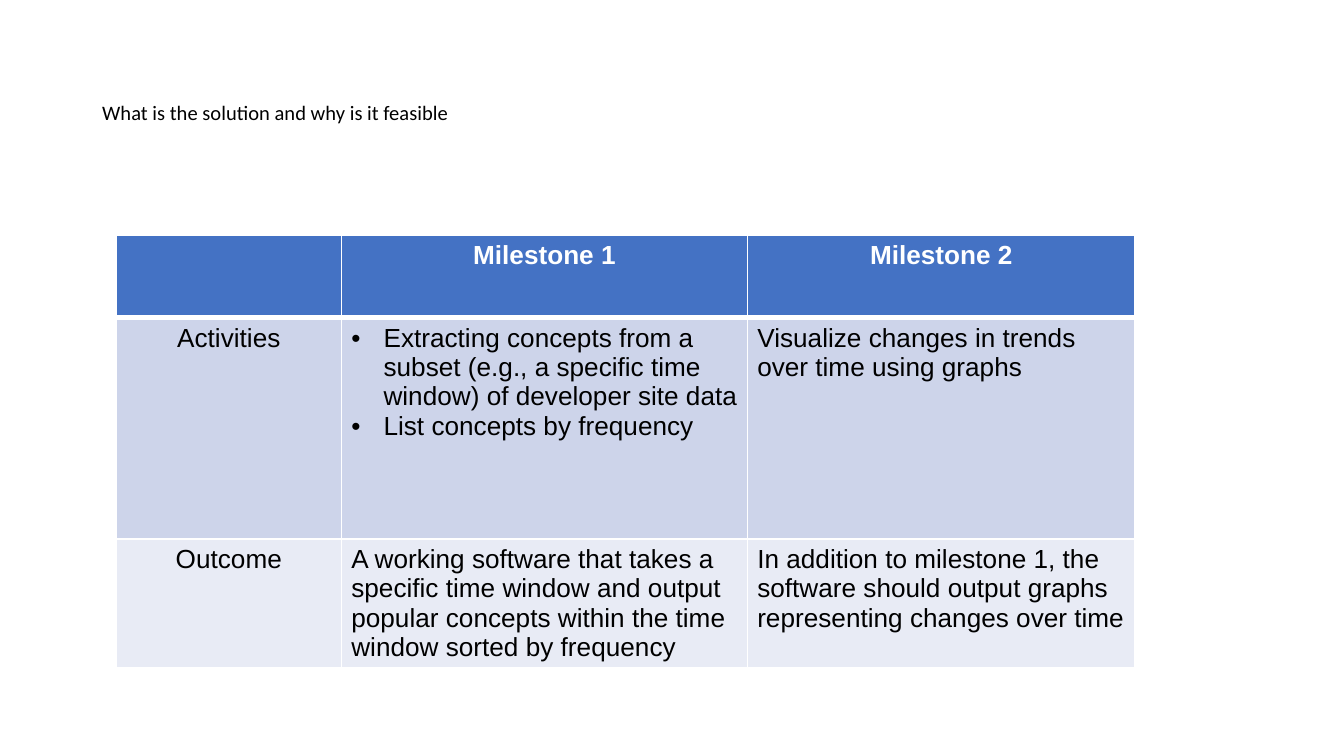
import pptx
import pptx.dml.color
import pptx.enum.text
import pptx.oxml
import pptx.oxml.ns
import pptx.util

ALIGN = pptx.enum.text.PP_ALIGN
PX = 9525


def px(length):
    return pptx.util.Emu(length * PX)


def rgb(value):
    return pptx.dml.color.RGBColor.from_string(value)


def element(markup):
    namespace = pptx.oxml.ns.nsdecls("a")
    head, rest = markup.split(" ", 1)
    return pptx.oxml.parse_xml(f"{head} {namespace} {rest}")


class MilestoneSlide:
    ink = "000000"
    paper = "FFFFFF"
    header_fill = "4472C4"
    band_fills = ["CDD4EA", "E8EBF5"]
    title_font = "Calibri"
    table_font = "Arial"

    def __init__(self, deck):
        self.slide = deck.slides.add_slide(deck.slide_layouts[5])

    def add_words(self, paragraph, words, font, size, color, bold=False):
        run = paragraph.add_run()
        run.text = words
        run.font.name = font
        run.font.size = pptx.util.Pt(size)
        run.font.bold = bold
        run.font.color.rgb = rgb(color)

    def title(self, words, left, top, width, height):
        heading = self.slide.shapes.title
        heading.left, heading.top = px(left), px(top)
        heading.width, heading.height = px(width), px(height)
        frame = heading.text_frame
        frame.word_wrap = True
        frame.auto_size = pptx.enum.text.MSO_AUTO_SIZE.NONE
        frame.vertical_anchor = pptx.enum.text.MSO_ANCHOR.MIDDLE
        frame.margin_left = frame.margin_right = px(7)
        frame.margin_top = frame.margin_bottom = px(4)
        paragraph = frame.paragraphs[0]
        paragraph.alignment = ALIGN.LEFT
        paragraph.line_spacing = 0.9
        self.add_words(paragraph, words, self.title_font, 11, self.ink)

    def borders(self, cell, top, bottom):
        properties = cell._tc.get_or_add_tcPr()
        for side, points in (("L", 1), ("R", 1), ("T", top), ("B", bottom)):
            properties.append(element(
                f'<a:ln{side} w="{pptx.util.Pt(points)}"><a:solidFill>'
                f'<a:srgbClr val="{self.paper}"/></a:solidFill></a:ln{side}>'))

    def bullet(self, paragraph):
        properties = paragraph._p.get_or_add_pPr()
        properties.set("marL", str(px(23)))
        properties.set("indent", str(px(-23)))
        properties.append(element(f'<a:buClr ><a:srgbClr val="{self.ink}"/></a:buClr>'))
        properties.append(element('<a:buFont typeface="Arial"/>'))
        properties.append(element('<a:buChar char="•"/>'))

    def cell(self, cell, content, row, column):
        header = row == 0
        self.borders(cell, 3 if row == 1 else 1, 3 if header else 1)
        cell.fill.solid()
        cell.fill.fore_color.rgb = rgb(
            self.header_fill if header else self.band_fills[(row - 1) % 2])
        cell.margin_left = cell.margin_right = px(7)
        cell.margin_top = cell.margin_bottom = px(4)
        frame = cell.text_frame
        for index, words in enumerate(content):
            paragraph = frame.add_paragraph() if index else frame.paragraphs[0]
            if len(content) > 1:
                self.bullet(paragraph)
            centred = header or column == 0
            paragraph.alignment = ALIGN.CENTER if centred else ALIGN.LEFT
            self.add_words(paragraph, words, self.table_font, 14,
                           self.paper if header else self.ink, header)

    def table(self, rows, left, top, widths, heights):
        table = self.slide.shapes.add_table(
            len(heights), len(widths), px(left), px(top),
            px(sum(widths)), px(sum(heights))).table
        for column, width in zip(table.columns, widths):
            column.width = px(width)
        for row, height in zip(table.rows, heights):
            row.height = px(height)
        for row, contents in enumerate(rows):
            for column, content in enumerate(contents):
                self.cell(table.cell(row, column), content, row, column)


def main():
    deck = pptx.Presentation()
    deck.slide_width, deck.slide_height = px(960), px(540)
    milestones = [
        [[], ["Milestone 1"], ["Milestone 2"]],
        [["Activities"],
         ["Extracting concepts from a subset (e.g., a specific time window) "
          "of developer site data",
          "List concepts by frequency"],
         ["Visualize changes in trends over time using graphs"]],
        [["Outcome"],
         ["A working software that takes a specific time window and output "
          "popular concepts within the time window sorted by frequency"],
         ["In addition to milestone 1, the software should output graphs "
          "representing changes over time"]],
    ]
    slide = MilestoneSlide(deck)
    slide.title("What is the solution and why is it feasible", 66, 29, 828, 104)
    slide.table(milestones, 83, 168, [161, 290, 277], [59, 158, 59])
    deck.save("out.pptx")


if __name__ == "__main__":
    main()
